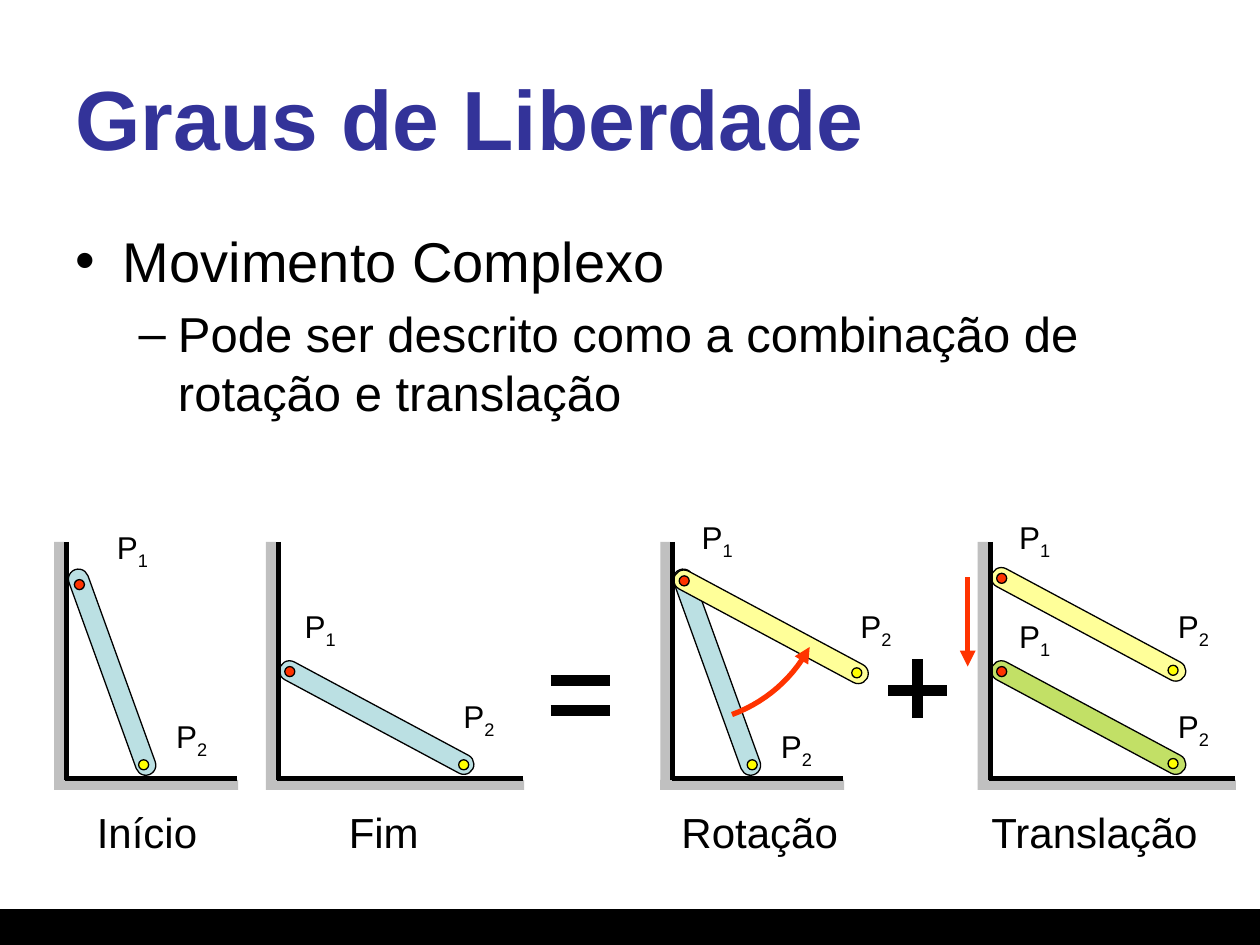
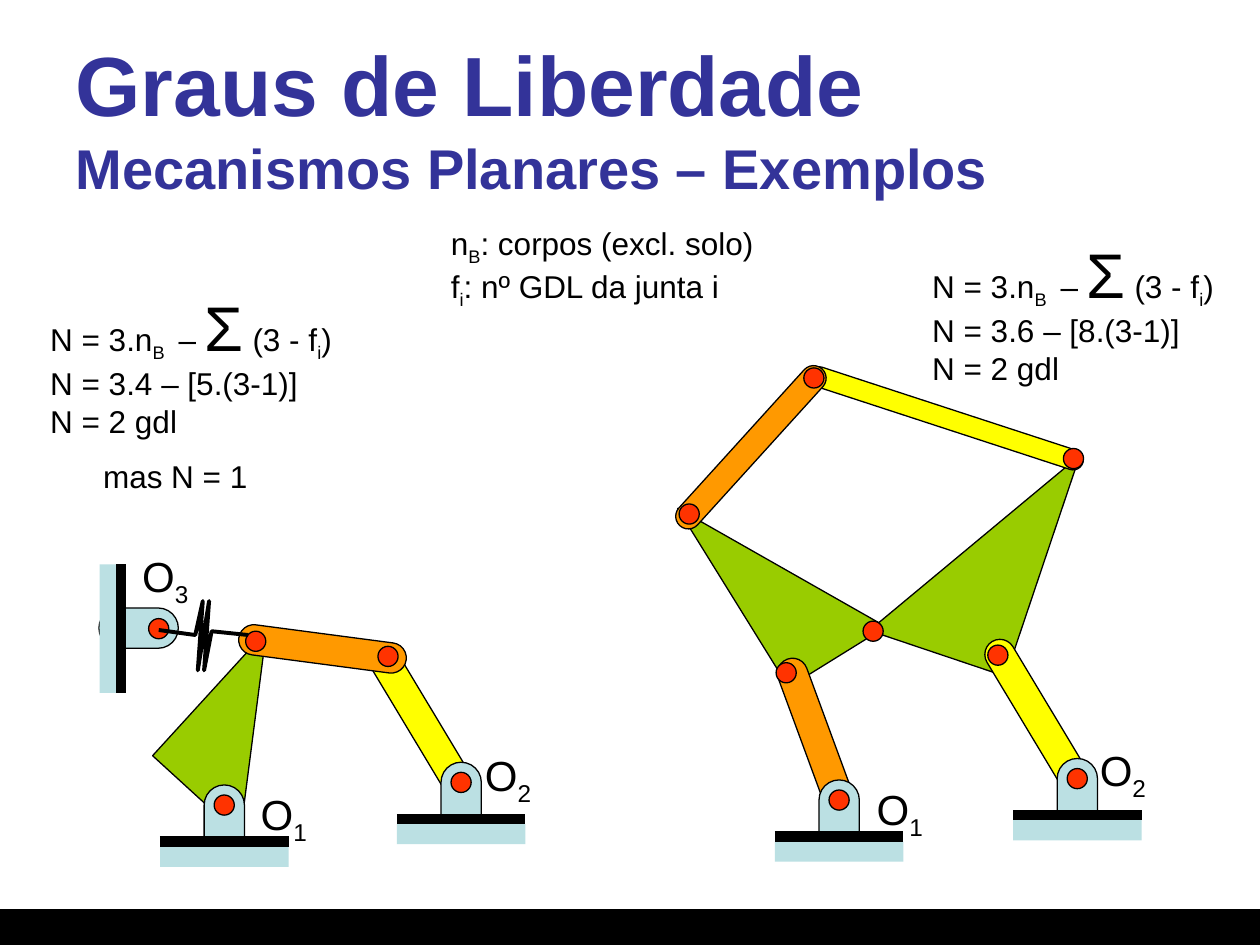
"""Build two slides on degrees of freedom: complex motion and planar mechanisms."""
from math import cos, radians, sin

from lxml.etree import SubElement
from pptx import Presentation
from pptx.dml.color import RGBColor
from pptx.enum.shapes import MSO_CONNECTOR, MSO_SHAPE
from pptx.enum.text import MSO_ANCHOR, MSO_AUTO_SIZE, PP_ALIGN
from pptx.oxml.ns import qn
from pptx.util import Inches, Pt

color = RGBColor.from_string
BLACK, RED, YELLOW = "000000", "FF3300", "FFFF00"
PALE_BLUE, PALE_YELLOW, PALE_GREEN = "BBE0E3", "FFFF99", "C2E066"
ORANGE, GREEN, GRAY, TITLE_BLUE = "FF9900", "99CC00", "C0C0C0", "333399"
BAR, RECTANGLE = MSO_SHAPE.ROUNDED_RECTANGLE, MSO_SHAPE.RECTANGLE
CIRCLE, TRIANGLE = MSO_SHAPE.OVAL, MSO_SHAPE.RIGHT_TRIANGLE


def paint(shape, fill=None, line=None, width=0.75, arrow=False):
    if line:
        shape.line.color.rgb = color(line)
        shape.line.width = Pt(width)
    else:
        shape.line.fill.background()
    if arrow:
        SubElement(shape.element.spPr.find(qn("a:ln")), qn("a:tailEnd"), type="triangle")
    if not hasattr(shape, "fill"):
        SubElement(shape.element.spPr, qn("a:effectLst"))
        return
    shape.shadow.inherit = False
    if fill:
        shape.fill.solid()
        shape.fill.fore_color.rgb = color(fill)
    else:
        shape.fill.background()


def write(paragraph, text, size, bold=False, ink=BLACK):
    for piece in text.split("|"):
        run = paragraph.add_run()
        run.text = piece.removeprefix("_")
        font_size = Pt(36 if piece == "Σ" else size)
        font_format = {"name": "Arial", "size": font_size, "bold": bold}
        for attribute, value in font_format.items():
            setattr(run.font, attribute, value)
        run.font.color.rgb = color(ink)
        if piece.startswith("_"):
            run._r.get_or_add_rPr().set("baseline", "-25000")


presentation = Presentation()
presentation.slide_width, presentation.slide_height = Inches(10), Inches(7.5)
motion = presentation.slides.add_slide(presentation.slide_layouts[1])
mechanisms = presentation.slides.add_slide(presentation.slide_layouts[5])

band = motion.shapes.add_shape(RECTANGLE, 0, Inches(7.22), Inches(10), Inches(0.28))
paint(band, BLACK, BLACK)
presentation.slide_master.shapes.element.append(band.element)

for slide, subtitle in ((motion, ""), (mechanisms, "Mecanismos Planares – Exemplos")):
    title = slide.shapes.title
    title_box = {"left": 0.5, "top": 0.3, "width": 9, "height": 1.25}
    for attribute, value in title_box.items():
        setattr(title, attribute, Inches(value))
    title.text_frame.vertical_anchor = MSO_ANCHOR.MIDDLE
    title.text_frame.auto_size = MSO_AUTO_SIZE.NONE
    paragraph = title.text_frame.paragraphs[0]
    paragraph.alignment = PP_ALIGN.LEFT
    write(paragraph, "Graus de Liberdade", 48, True, TITLE_BLUE)
    if subtitle:
        paragraph.add_line_break()
        write(paragraph, subtitle, 32, True, TITLE_BLUE)

body = motion.placeholders[1]
body_box = {"left": 0.5, "top": 1.75, "width": 9, "height": 4.95}
for attribute, value in body_box.items():
    setattr(body, attribute, Inches(value))
body.text_frame.auto_size = MSO_AUTO_SIZE.NONE
write(body.text_frame.paragraphs[0], "Movimento Complexo", 32)
paragraph = body.text_frame.add_paragraph()
paragraph.level = 1
write(paragraph, "Pode ser descrito como a combinação de rotação e translação", 28)

motion_parts, motion_lines = [], []
for left, length in ((0.43, 1.46), (2.11, 2.05), (5.24, 1.46), (7.76, 2.05)):
    wall, end = left + 0.1, left + length - 0.01
    motion_parts += [
        (RECTANGLE, left, 4.3, 0.08, 1.89, 0, GRAY, None),
        (RECTANGLE, left, 6.19, length, 0.08, 0, GRAY, None),
    ]
    motion_lines += [
        (wall, 4.3, wall, 6.19, BLACK, 3, False),
        (wall - 0.01, 6.18, end, 6.18, BLACK, 3, False),
    ]
for left, top, rotation, fill in (
    (0.81, 4.47, 340.1, PALE_BLUE),
    (2.91, 4.83, 298.2, PALE_BLUE),
    (5.61, 4.47, 340.1, PALE_BLUE),
    (6.04, 4.11, 298.2, PALE_YELLOW),
    (8.56, 4.83, 298.2, PALE_GREEN),
    (8.56, 4.09, 298.2, PALE_YELLOW),
):
    motion_parts.append((BAR, left, top, 0.16, 1.73, rotation, fill, BLACK))
bar_ends = {
    RED: ((0.59, 4.6), (2.26, 5.29), (5.39, 4.57), (7.91, 4.55), (7.91, 5.29)),
    YELLOW: ((1.1, 6.03), (3.64, 6.03), (5.93, 6.03), (6.76, 5.3), (9.27, 6.02), (9.27, 5.28)),
}
for fill, places in bar_ends.items():
    for left, top in places:
        motion_parts.append((CIRCLE, left, top, 0.08, 0.08, 0, fill, BLACK))
motion_lines += [
    (4.37, 5.4, 4.84, 5.4, BLACK, 6, False),
    (4.37, 5.64, 4.84, 5.64, BLACK, 6, False),
    (7.05, 5.48, 7.52, 5.48, BLACK, 6, False),
    (7.28, 5.7, 7.28, 5.23, BLACK, 6, False),
    (7.68, 4.58, 7.68, 5.29, RED, 3, True),
]
arc_angles = [radians(70 - 3 * step) for step in range(15)]
rotation_arc = [(5.42 + 1.14 * cos(angle), 4.6 + 1.14 * sin(angle)) for angle in arc_angles]

point_labels = {
    "P|_1": ((0.83, 4.14), (2.32, 4.77), (5.47, 4.06), (7.99, 4.06), (7.99, 4.85)),
    "P|_2": ((1.3, 5.64), (3.58, 5.48), (6.1, 5.72), (6.73, 4.77), (9.25, 4.77), (9.25, 5.56)),
}
motion_texts = [(0.67, 6.35, 8.96, 0.5, 24, ["Início\tFim\tRotação\tTranslação"])]
for text, places in point_labels.items():
    motion_texts += [(left, top, 0.46, 0.4, 18, [text]) for left, top in places]

mechanism_parts = [
    (TRIANGLE, 5.75, 3.67, 0.91, 1.67, 328.2, GREEN, BLACK),
    (TRIANGLE, 1.54, 5.15, 0.94, 1.34, 42.4, GREEN, BLACK),
    (TRIANGLE, 6.81, 3.74, 1.85, 1.14, 288.6, GREEN, BLACK),
    (BAR, 6.36, 5.19, 0.24, 1.34, 339.8, ORANGE, BLACK),
    (BAR, 3.23, 5.03, 0.24, 1.42, 329, YELLOW, BLACK),
    (BAR, 8.12, 4.99, 0.24, 1.42, 329, YELLOW, BLACK),
    (BAR, 2.44, 4.48, 0.24, 1.34, 277.5, ORANGE, BLACK),
    (BAR, 7.43, 2.18, 0.16, 2.28, 288.1, YELLOW, BLACK),
    (BAR, 5.86, 2.71, 0.2, 1.68, 42.2, ORANGE, BLACK),
    (BAR, 0.94, 4.67, 0.32, 0.63, 90, PALE_BLUE, BLACK),
    (RECTANGLE, 0.79, 4.48, 0.16, 1.02, 0, PALE_BLUE, None),
]
mechanism_lines = [(0.96, 4.48, 0.96, 5.5, BLACK, 6, False)]
joints = [
    (1.95, 5.01), (3, 5.13), (1.18, 4.91), (7.84, 5.12), (6.85, 4.93),
    (8.44, 3.56), (6.38, 2.92), (5.39, 4), (6.16, 5.26),
]
for left, top in ((1.62, 6.23), (3.5, 6.05), (6.5, 6.19), (8.39, 6.02)):
    ground = left - 0.35
    mechanism_parts += [
        (BAR, left, top, 0.32, 0.63, 0, PALE_BLUE, BLACK),
        (RECTANGLE, ground, top + 0.49, 1.02, 0.16, 0, PALE_BLUE, None),
    ]
    mechanism_lines.append((ground, top + 0.45, ground + 1.02, top + 0.45, BLACK, 6, False))
    joints.append((left + 0.08, top + 0.08))
for left, top in joints:
    mechanism_parts.append((CIRCLE, left, top, 0.16, 0.16, 0, RED, BLACK))
spring = [
    (1.26, 5), (1.55, 5.04), (1.61, 4.77), (1.57, 5.32),
    (1.66, 4.77), (1.62, 5.32), (1.68, 5.01), (1.97, 5.04),
]

mobility = "N = 3.n|_B | – |Σ| (3 - f|_i|)"
mechanism_texts = [
    (0.3, 2.24, 2.47, 1.31, 18, [mobility, "N = 3.4 – [5.(3-1)]", "N = 2 gdl"]),
    (7.3, 1.82, 2.47, 1.31, 18, [mobility, "N = 3.6 – [8.(3-1)]", "N = 2 gdl"]),
    (3.48, 1.73, 2.7, 0.71, 18, ["n|_B|: corpos (excl. solo)", "f|_i|: nº GDL da junta i"]),
    (0.72, 3.58, 1.36, 0.4, 18, ["mas N = 1"]),
]
for number, left, top in (
    (1, 1.97, 6.21), (2, 3.75, 5.9), (3, 1.03, 4.32), (1, 6.86, 6.17), (2, 8.63, 5.86),
):
    mechanism_texts.append((left, top, 0.58, 0.5, 24, [f"O|_{number}"]))

for slide, parts, lines, curve, curve_color, curve_width, curve_arrow, texts in (
    (motion, motion_parts, motion_lines, rotation_arc, RED, 3, True, motion_texts),
    (mechanisms, mechanism_parts, mechanism_lines, spring, BLACK, 2.25, False, mechanism_texts),
):
    for kind, left, top, width, height, rotation, fill, line in parts:
        shape = slide.shapes.add_shape(kind, *map(Inches, (left, top, width, height)))
        shape.rotation = rotation
        if kind == BAR:
            shape.adjustments[0] = 0.5
        paint(shape, fill, line)
    for *ends, line, width, arrow in lines:
        connector = slide.shapes.add_connector(MSO_CONNECTOR.STRAIGHT, *map(Inches, ends))
        paint(connector, None, line, width, arrow)
    points = [(Inches(x), Inches(y)) for x, y in curve]
    builder = slide.shapes.build_freeform(*points[0])
    builder.add_line_segments(points[1:], close=False)
    paint(builder.convert_to_shape(), None, curve_color, curve_width, curve_arrow)
    for *box, size, texts_in_box in texts:
        text_frame = slide.shapes.add_textbox(*map(Inches, box)).text_frame
        text_frame.word_wrap = False
        text_frame.auto_size = MSO_AUTO_SIZE.SHAPE_TO_FIT_TEXT
        for index, text in enumerate(texts_in_box):
            paragraph = text_frame.add_paragraph() if index else text_frame.paragraphs[0]
            write(paragraph, text, size)
            if "\t" in text:
                tabs = SubElement(paragraph._p.get_or_add_pPr(), qn("a:tabLst"))
                for position in (2, 4.64, 7.1):
                    SubElement(tabs, qn("a:tab"), pos=str(Inches(position)), algn="l")

presentation.save("out.pptx")
